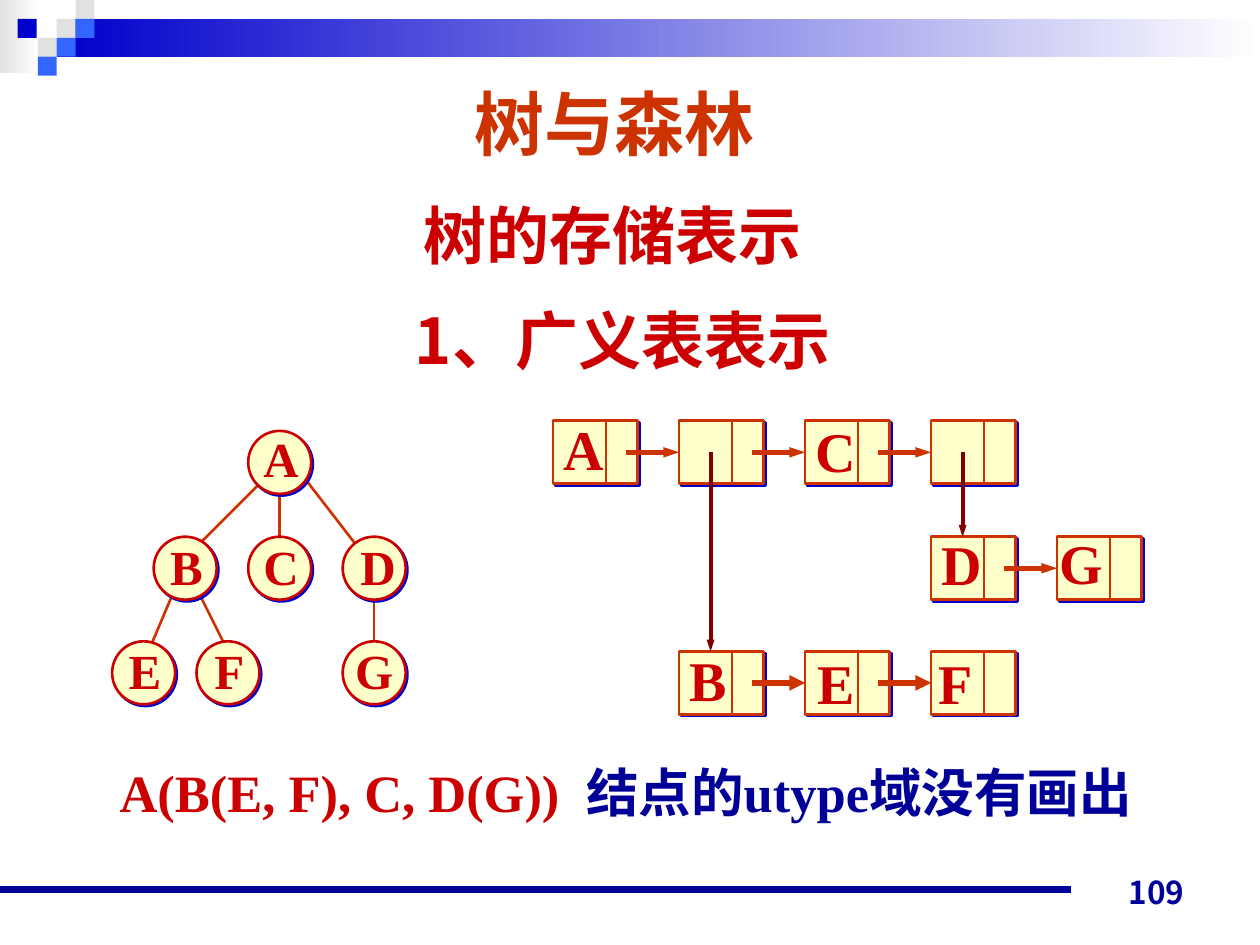
from lxml import etree
from pptx import Presentation
from pptx.dml.color import RGBColor
from pptx.enum.shapes import MSO_CONNECTOR, MSO_SHAPE
from pptx.enum.text import MSO_ANCHOR, PP_ALIGN
from pptx.oxml.ns import qn
from pptx.util import Inches, Pt

RECT, OVAL, STRAIGHT = MSO_SHAPE.RECTANGLE, MSO_SHAPE.OVAL, MSO_CONNECTOR.STRAIGHT
CENTER, RIGHT = PP_ALIGN.CENTER, PP_ALIGN.RIGHT
TOP, MIDDLE, BOTTOM = MSO_ANCHOR.TOP, MSO_ANCHOR.MIDDLE, MSO_ANCHOR.BOTTOM
RED, ORANGE, MAROON, NAVY, BLUE = "CC0000", "CC3300", "800000", "000099", "0000CC"
GREY, SKY, CREAM, WHITE = "E1E1E1", "3366FF", "FFFFCC", "FFFFFF"
SERIF, CJK = "Times New Roman", "Noto Sans CJK JP"


def rgb(value):
    return RGBColor.from_string(value)


def add_line(x1, y1, x2, y2, color, width, head=None):
    line = slide.shapes.add_connector(
        STRAIGHT, Inches(x1), Inches(y1), Inches(x2), Inches(y2))
    line.line.color.rgb = rgb(color)
    line.line.width = Pt(width)
    properties = line._element.spPr
    if head:
        etree.SubElement(properties.find(qn("a:ln")), qn("a:tailEnd"),
                         type="triangle", w=head, len="med")
    etree.SubElement(properties, qn("a:effectLst"))
    return line


prs = Presentation()
prs.slide_width, prs.slide_height = Inches(10), Inches(7.5)
slide = prs.slides.add_slide(prs.slide_layouts[5])

# Header bands and checker squares
for x, y, w, h, start, end in [
    (0, 0, 0.31, 0.58, GREY, WHITE),
    (0.45, 0.15, 9.55, 0.3, BLUE, WHITE),
    (0.45, 0.15, 0.15, 0.15, GREY, None),
    (0.6, 0, 0.15, 0.15, GREY, None),
    (0.6, 0.15, 0.15, 0.15, SKY, None),
    (0.3, 0.3, 0.15, 0.15, GREY, None),
    (0.14, 0.15, 0.15, 0.15, BLUE, None),
    (0.45, 0.3, 0.15, 0.15, SKY, None),
    (0.3, 0.45, 0.15, 0.15, SKY, None),
]:
    band = slide.shapes.add_shape(RECT, Inches(x), Inches(y), Inches(w), Inches(h))
    band.shadow.inherit = False
    band.line.fill.background()
    if end:
        band.fill.gradient()
        band.fill.gradient_angle = 0
        for stop, color in zip(band.fill.gradient_stops, (start, end)):
            stop.color.rgb = rgb(color)
    else:
        band.fill.solid()
        band.fill.fore_color.rgb = rgb(start)

# Footer rule
add_line(0, 7.06, 8.5, 7.06, NAVY, 4.5)

# Title
title = slide.shapes.title
title.left, title.top = Inches(2.91), Inches(0.52)
title.width, title.height = Inches(3.94), Inches(0.91)
title.text_frame.text = "树与森林"
title.text_frame.vertical_anchor = MIDDLE
heading = title.text_frame.paragraphs[0]
heading.alignment = CENTER
heading.font.name, heading.font.size, heading.font.bold = "Arial", Pt(40), True
heading.font.color.rgb = rgb(ORANGE)

# Tree edges
for edge in [
    (2.97, 4.67, 2.97, 5.26), (2.39, 3.76, 2.97, 4.51),
    (1.56, 4.67, 1.81, 5.17), (1.39, 4.67, 1.14, 5.26),
    (2.06, 3.84, 1.56, 4.34), (2.22, 3.84, 2.22, 4.34),
]:
    add_line(*edge, ORANGE, 1.5)

# Tree nodes: letter, left, top, then left, top and width of the letter
tree = [
    ("A", 1.97, 3.42, 1.99, 3.35, 0.48),
    ("B", 1.22, 4.26, 1.25, 4.21, 0.46),
    ("C", 1.97, 4.26, 1.99, 4.21, 0.48),
    ("D", 2.72, 4.26, 2.76, 4.21, 0.48),
    ("E", 0.89, 5.09, 0.92, 5.03, 0.46),
    ("F", 1.56, 5.09, 1.6, 5.03, 0.44),
    ("G", 2.72, 5.09, 2.72, 5.03, 0.5),
]
# List cells: letter, column, row, then left, top and width of the letter
cells = [
    ("A", 0, 0, 4.37, 3.24, 0.52),
    ("", 1, 0, 0, 0, 0),
    ("C", 2, 0, 6.37, 3.25, 0.52),
    ("", 3, 0, 0, 0, 0),
    ("D", 3, 1, 7.37, 4.15, 0.52),
    ("G", 4, 1, 8.31, 4.14, 0.54),
    ("B", 1, 2, 5.37, 5.07, 0.49),
    ("E", 2, 2, 6.39, 5.09, 0.49),
    ("F", 3, 2, 7.35, 5.09, 0.47),
]
column_x = [4.39 + column for column in range(5)]
row_y = [3.34, 4.26, 5.17]

# Node and cell outlines with their offset shadow
outlines = [(OVAL, x, y, 0.5, RED) for _, x, y, *_ in tree]
outlines += [(RECT, column_x[c], row_y[r], 0.67, ORANGE) for _, c, r, *_ in cells]
boxes = []
for kind, x, y, w, border in outlines:
    box = slide.shapes.add_shape(kind, Inches(x), Inches(y), Inches(w), Inches(0.5))
    box.fill.solid()
    box.fill.fore_color.rgb = rgb(CREAM)
    box.line.color.rgb = rgb(border)
    box.line.width = Pt(1.5)
    box.shadow.inherit = False
    shadow = etree.SubElement(
        box._element.spPr.find(qn("a:effectLst")), qn("a:outerShdw"),
        dist="18000", dir="2700000", algn="ctr", rotWithShape="0")
    etree.SubElement(shadow, qn("a:srgbClr"), val=BLUE)
    boxes.append(box)

# Cell dividers, and an arrow into each cell that follows another in its row
cell_boxes = {(c, r): box for (_, c, r, *_), box in zip(cells, boxes[len(tree):])}
for (column, row), box in cell_boxes.items():
    x, y = column_x[column], row_y[row]
    add_line(x + 0.42, y, x + 0.42, y + 0.5, ORANGE, 1.5)
    if (column - 1, row) in cell_boxes:
        link = add_line(x - 0.42, y + 0.25, x, y + 0.25, ORANGE, 3,
                        "med" if row == 2 else "sm")
        link.end_connect(box, 1)

# Arrows down to the sublists
for column, row in [(1, 2), (3, 1)]:
    x = column_x[column] + 0.25
    add_line(x, row_y[0] + 0.25, x, row_y[row], MAROON, 2.25, "sm")

# Text: runs with colours, box, size, font, alignment, anchor, wrap
texts = [
    ([("109", NAVY)], (7.17, 6.78, 2.33, 0.5), 18, CJK, RIGHT, BOTTOM, True),
    ([("树的存储表示", RED)], (1.61, 1.51, 6.5, 0.7), 36, CJK, CENTER, TOP, True),
    ([("1、广义表表示", RED)], (1.69, 2.34, 6.5, 0.7), 36, CJK, CENTER, TOP, True),
    ([("A(B(E, F), C, D(G))", RED), (" ", RED), ("结点的utype域没有画出", NAVY)],
     (0.59, 5.98, 8.75, 0.6), 30, SERIF, CENTER, TOP, True),
]
for letters, size, height in [(tree, 28, 0.57), (cells, 32, 0.64)]:
    texts += [([(letter, RED)], (x, y, w, height), size, SERIF, CENTER, MIDDLE, False)
              for letter, _, _, x, y, w in letters if letter]

for runs, position, size, font, alignment, anchor, wrap in texts:
    label = slide.shapes.add_textbox(*map(Inches, position))
    label.text_frame.word_wrap = wrap
    label.text_frame.vertical_anchor = anchor
    paragraph = label.text_frame.paragraphs[0]
    paragraph.alignment = alignment
    paragraph.font.name, paragraph.font.size, paragraph.font.bold = font, Pt(size), True
    for words, color in runs:
        run = paragraph.add_run()
        run.text = words
        run.font.color.rgb = rgb(color)
        if words == " ":  # widen the gap between the two statements
            run.font._element.set("spc", "750")

prs.save("out.pptx")
